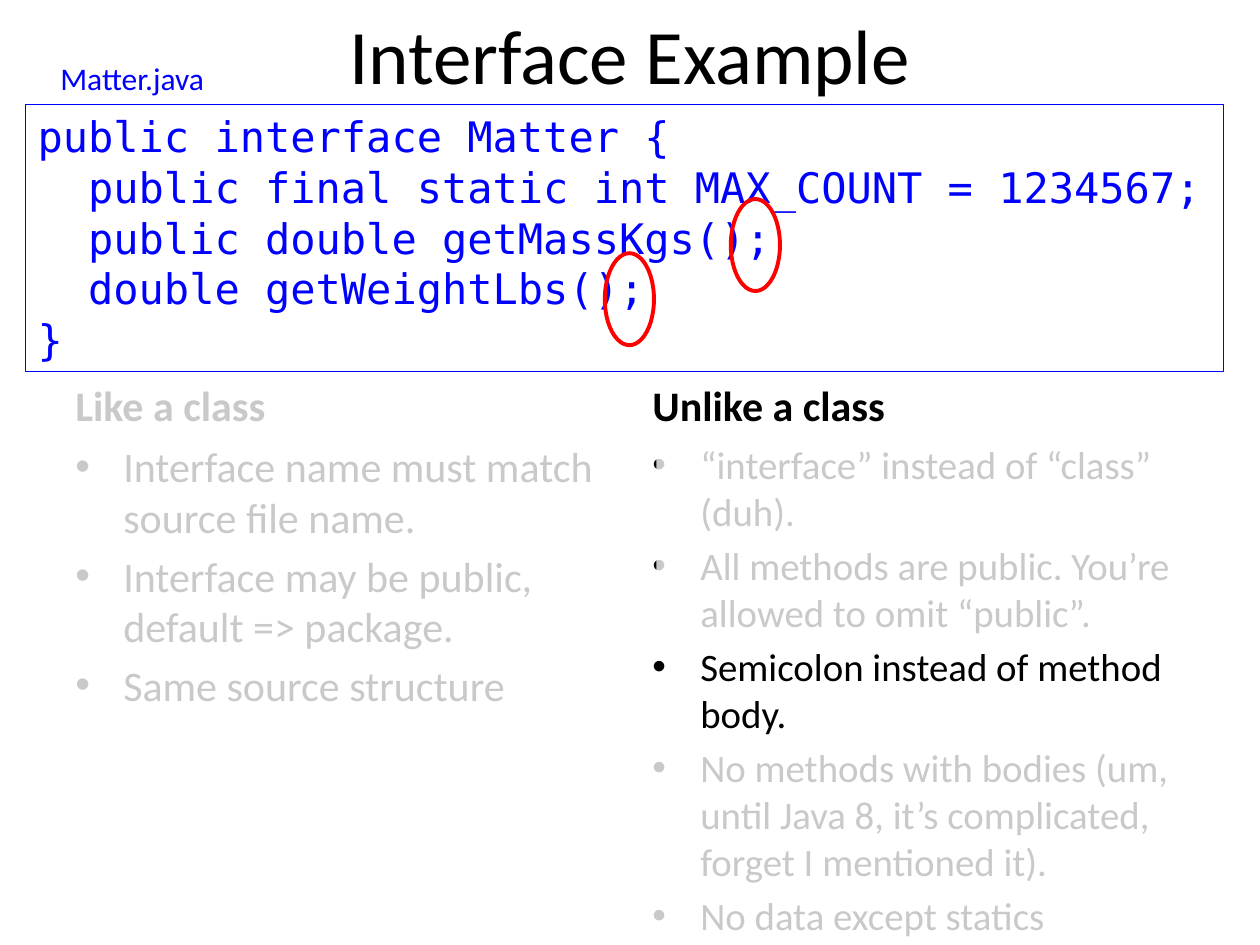
from pptx import Presentation
from pptx.dml.color import RGBColor
from pptx.enum.shapes import MSO_SHAPE as Shape
from pptx.enum.text import MSO_ANCHOR as Anchor, PP_ALIGN as Align
from pptx.oxml.ns import qn
from pptx.util import Inches, Pt
from lxml.etree import SubElement

BLACK = RGBColor(0, 0, 0)
WHITE = RGBColor(255, 255, 255)
BLUE = RGBColor(0, 0, 255)
RED = RGBColor(255, 0, 0)

LIKE = [
    "Interface name must match source file name.",
    "Interface may be public, default => package.",
    "Same source structure",
]
UNLIKE = [
    "“interface” instead of “class” (duh).",
    "All methods are public. You’re allowed to omit “public”.",
    "Semicolon instead of method body.",
    "No methods with bodies (um, until Java 8, it’s complicated, forget I mentioned it).",
    "No data except statics",
]
CODE = """public interface Matter {
  public final static int MAX_COUNT = 1234567;
  public double getMassKgs();
  double getWeightLbs();
}"""

deck = Presentation()
deck.slide_width, deck.slide_height = Inches(10), Inches(7.5)
slide = deck.slides.add_slide(deck.slide_layouts[6])


def add_text(box, text, size, color=BLACK, face="Calibri", bold=False, anchor=Anchor.TOP, bullet=False):
    item = slide.shapes.add_textbox(*map(Inches, box))
    frame = item.text_frame
    frame.word_wrap = True
    frame.vertical_anchor = anchor
    frame.text = text
    for i, para in enumerate(frame.paragraphs):
        if bullet:
            props = para._p.get_or_add_pPr()
            props.set("marL", str(Inches(0.38)))
            props.set("indent", str(-Inches(0.38)))
            SubElement(props, qn("a:buFont"), typeface="Arial")
            SubElement(props, qn("a:buChar"), char="•")
            if i:
                para.space_before = Pt(size * 0.2)
        font = para.font
        font.size, font.name, font.bold = Pt(size), face, bold
        font.color.rgb = color
    return item


def add_form(kind, box):
    form = slide.shapes.add_shape(kind, *map(Inches, box))
    form.shadow.inherit = False
    return form


title = add_text((0.5, 0, 9, 0.86), "Interface Example", 44, anchor=Anchor.MIDDLE)
title.text_frame.paragraphs[0].alignment = Align.CENTER

for left, head, items, size in [(0.5, "Like a class", LIKE, 24), (5.08, "Unlike a class", UNLIKE, 22.2)]:
    add_text((left, 2.76, 4.42, 0.7), head, 24, bold=True, anchor=Anchor.BOTTOM)
    add_text((left, 3.45, 4.42, 4.32), "\n".join(items), size, bullet=True)

code = add_text((0.2, 0.83, 9.51, 2.12), CODE, 24, BLUE, "DejaVu Sans Mono")
code.line.color.rgb = BLUE
code.line.width = Pt(0.75)
for para in code.text_frame.paragraphs:
    para.line_spacing = Pt(28.9)

label = add_text((0.38, 0.42, 1.39, 0.4), "Matter.java", 18, BLUE)
label.text_frame.word_wrap = False

for box in [(4.92, 5.86, 4.79, 1.64), (0.06, 3.06, 4.79, 3.01), (5.21, 3.49, 4.79, 1.67)]:
    veil = add_form(Shape.RECTANGLE, box)
    veil.fill.solid()
    veil.fill.fore_color.rgb = WHITE
    tint = veil.fill._xPr.find(qn("a:solidFill"))[0]
    SubElement(tint, qn("a:alpha"), val="79000")
    veil.line.fill.background()

for left, top in [(5.8, 1.58), (4.8, 2.01)]:
    ring = add_form(Shape.OVAL, (left, top, 0.39, 0.73))
    ring.fill.background()
    ring.line.color.rgb = RED
    ring.line.width = Pt(2.25)

deck.save("out.pptx")
